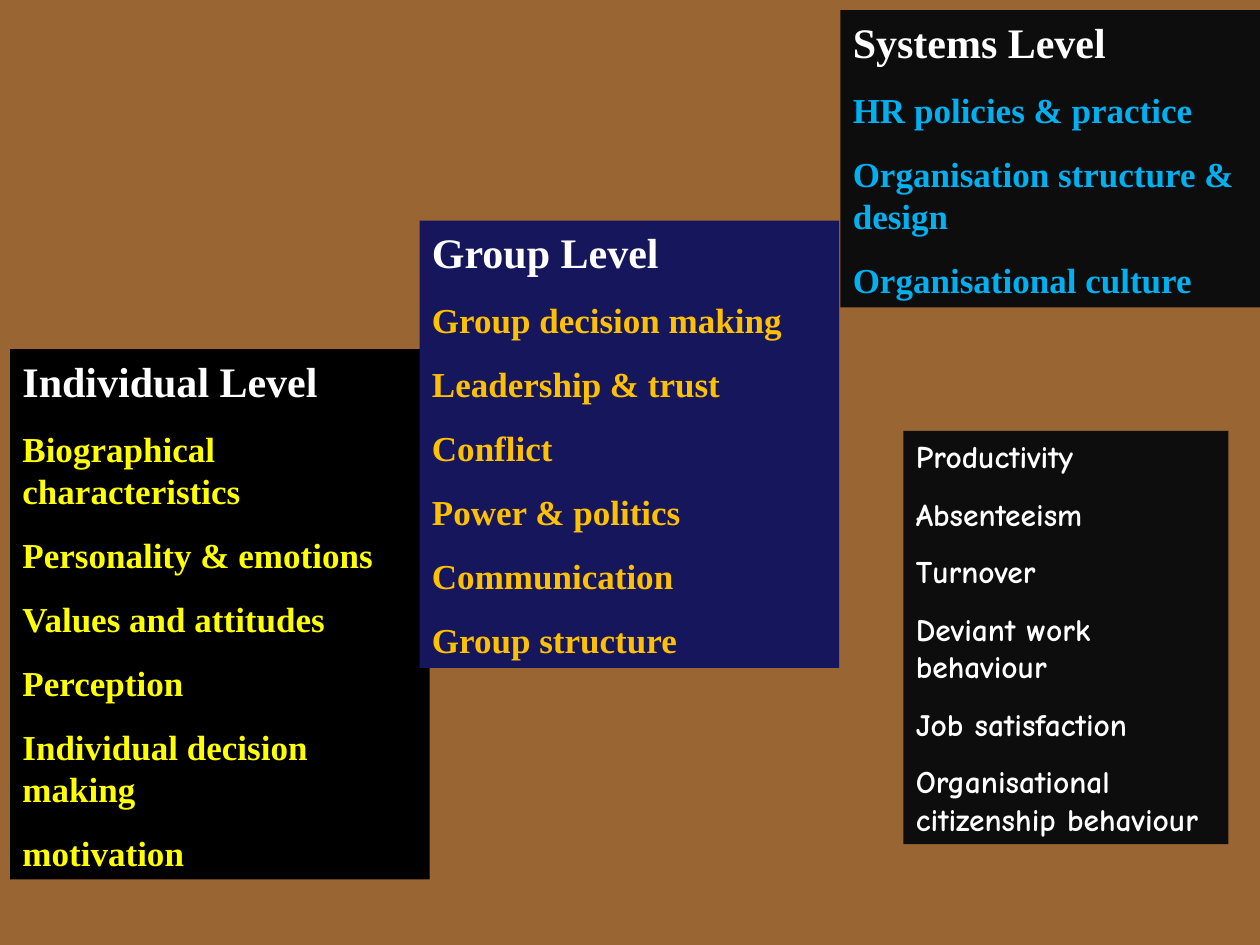
"""Build a slide of three stepped levels of organisational behaviour and their outcomes."""
from pptx import Presentation
from pptx.dml.color import RGBColor
from pptx.enum import shapes, text
from pptx.util import Inches, Pt

SERIF, COMIC = "Times New Roman", "Comic Neue"
WHITE = "FFFFFF"


def paint(fill, color):
    fill.solid()
    fill.fore_color.rgb = RGBColor.from_string(color)


def write(paragraph, wording, size, color, font):
    paragraph.alignment = text.PP_ALIGN.LEFT
    paragraph.space_before = Pt(size * 0.625)
    run = paragraph.add_run()
    run.text = wording
    run.font.name = font
    run.font.size = Pt(size)
    run.font.bold = True
    paint(run.font.fill, color)


deck = Presentation()
deck.slide_width, deck.slide_height = Inches(10), Inches(7.5)
slide = deck.slides.add_slide(deck.slide_layouts[6])
paint(slide.background.fill, "996633")

panels = [
    ((0.08, 2.77, 3.33, 4.21), "000000", "Individual Level", 20, "FFFF00", SERIF,
     ["Biographical characteristics", "Personality & emotions", "Values and attitudes",
      "Perception", "Individual decision making", "motivation"]),
    ((3.33, 1.75, 3.33, 3.55), "16165D", "Group Level", 20, "FFC000", SERIF,
     ["Group decision making", "Leadership & trust", "Conflict",
      "Power & politics", "Communication", "Group structure"]),
    ((6.67, 0.08, 3.33, 2.36), "0D0D0D", "Systems Level", 20, "00B0F0", SERIF,
     ["HR policies & practice", "Organisation structure & design",
      "Organisational culture"]),
    ((7.17, 3.42, 2.58, 3.28), "0D0D0D", None, 18, WHITE, COMIC,
     ["Productivity", "Absenteeism", "Turnover", "Deviant work behaviour",
      "Job satisfaction", "Organisational citizenship behaviour"]),
]

for place, background, heading, size, color, font, topics in panels:
    panel = slide.shapes.add_shape(shapes.MSO_SHAPE.RECTANGLE, *map(Inches, place))
    panel.shadow.inherit = False
    panel.line.fill.background()
    paint(panel.fill, background)
    frame = panel.text_frame
    frame.word_wrap = True
    frame.auto_size = text.MSO_AUTO_SIZE.SHAPE_TO_FIT_TEXT
    frame.vertical_anchor = text.MSO_ANCHOR.TOP
    lines = [(topic, size, color) for topic in topics]
    if heading:
        lines.insert(0, (heading, 24, WHITE))
    for index, (wording, points, ink) in enumerate(lines):
        paragraph = frame.add_paragraph() if index else frame.paragraphs[0]
        write(paragraph, wording, size=points, color=ink, font=font)

deck.save("out.pptx")
